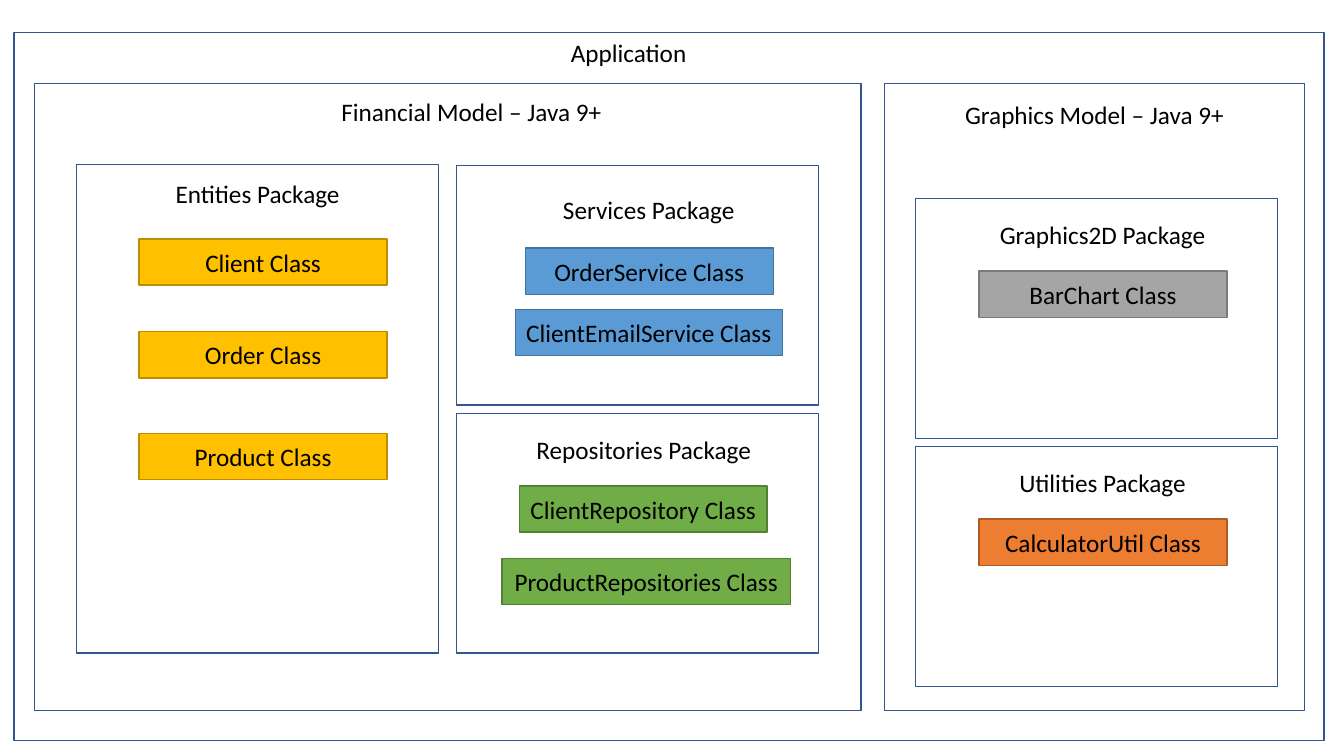
import pptx
import pptx.util
import pptx.dml.color
import pptx.enum.shapes
import pptx.enum.text
from dataclasses import dataclass, field


@dataclass
class Theme:
    """Colours, font and sizes used on the slide."""
    font: str = "Calibri"
    size: int = 18
    text: str = "000000"
    frame: str = "325491"
    line: float = 1
    # kind of class: (fill, line)
    kinds: dict = field(default_factory=lambda: {
        "entity": ("FFC000", "BD8E00"),
        "service": ("5B9BD5", "43739E"),
        "repository": ("70AD47", "538035"),
        "graphics": ("A5A5A5", "7A7A7A"),
        "utility": ("ED7D31", "AF5C24"),
    })


THEME = Theme()
CLASS_W, CLASS_H = 2.46, 0.46
PACKAGE_W, PACKAGE_H = 3.59, 2.38
TITLE_H = 0.4
MODEL_TITLE_W, PACKAGE_TITLE_W = 3.11, 2.35

# name, frame (left, top, width, height), title (left, top)
MODELS = [
    ("Application", (0.14, 0.32, 12.99, 7.03), (4.68, 0.32)),
    ("Financial Model – Java 9+", (0.34, 0.83, 8.2, 6.22), (3.12, 0.91)),
    ("Graphics Model – Java 9+", (8.77, 0.83, 4.17, 6.22), (9.3, 0.94)),
]

# name, frame (left, top, height), title (left, top), kind,
# classes (name, left, top, width)
PACKAGES = [
    ("Entities Package", (0.76, 1.63, 4.85), (1.38, 1.72), "entity", [
        ("Client Class", 1.38, 2.37, CLASS_W),
        ("Order Class", 1.38, 3.29, CLASS_W),
        ("Product Class", 1.38, 4.3, CLASS_W)]),
    ("Services Package", (4.53, 1.64, PACKAGE_H), (5.26, 1.88), "service", [
        ("OrderService Class", 5.21, 2.46, CLASS_W),
        ("ClientEmailService Class", 5.11, 3.07, 2.65)]),
    ("Repositories Package", (4.53, 4.1, PACKAGE_H), (5.21, 4.26), "repository", [
        ("ClientRepository Class", 5.15, 4.82, CLASS_W),
        ("ProductRepositories Class", 4.98, 5.54, 2.86)]),
    ("Graphics2D Package", (9.08, 1.97, PACKAGE_H), (9.76, 2.13), "graphics", [
        ("BarChart Class", 9.71, 2.69, CLASS_W)]),
    ("Utilities Package", (9.08, 4.43, PACKAGE_H), (9.76, 4.59), "utility", [
        ("CalculatorUtil Class", 9.71, 5.15, CLASS_W)]),
]


def rgb(value):
    """Turn a hex string into a colour."""
    return pptx.dml.color.RGBColor.from_string(value)


def box(*at):
    """Turn numbers into lengths in inches."""
    return [pptx.util.Inches(v) for v in at]


def write(tf, text, size=THEME.size, color=THEME.text,
          anchor=pptx.enum.text.MSO_ANCHOR.TOP):
    """Put one centred, formatted line of text into a text frame."""
    tf.word_wrap = True
    tf.vertical_anchor = anchor
    p = tf.paragraphs[0]
    p.alignment = pptx.enum.text.PP_ALIGN.CENTER
    r = p.add_run()
    r.text = text
    r.font.name = THEME.font
    r.font.size = pptx.util.Pt(size)
    r.font.color.rgb = rgb(color)


def add_rect(s, at, line, fill=None):
    """Add an outlined rectangle, filled if a colour is given."""
    sp = s.shapes.add_shape(pptx.enum.shapes.MSO_SHAPE.RECTANGLE, *box(*at))
    sp.shadow.inherit = False
    sp.line.color.rgb = rgb(line)
    sp.line.width = pptx.util.Pt(THEME.line)
    if fill:
        sp.fill.solid()
        sp.fill.fore_color.rgb = rgb(fill)
    else:
        sp.fill.background()
    return sp


def add_title(s, text, left, top, width):
    """Add the title of a model or package."""
    tf = s.shapes.add_textbox(*box(left, top, width, TITLE_H)).text_frame
    tf.auto_size = pptx.enum.text.MSO_AUTO_SIZE.SHAPE_TO_FIT_TEXT
    write(tf, text)


def add_package(s, name, frame, title, kind, classes):
    """Add a package frame, its title and its classes."""
    left, top, height = frame
    add_rect(s, (left, top, PACKAGE_W, height), THEME.frame)
    add_title(s, name, *title, PACKAGE_TITLE_W)
    fill, line = THEME.kinds[kind]
    for label, x, y, width in classes:
        sp = add_rect(s, (x, y, width, CLASS_H), line, fill)
        write(sp.text_frame, label, anchor=pptx.enum.text.MSO_ANCHOR.MIDDLE)


prs = pptx.Presentation()
prs.slide_width, prs.slide_height = box(13.33, 7.5)
s = prs.slides.add_slide(prs.slide_layouts[6])
for name, frame, title in MODELS:
    add_rect(s, frame, THEME.frame)
    add_title(s, name, *title, MODEL_TITLE_W)
for package in PACKAGES:
    add_package(s, *package)
prs.save("out.pptx")
